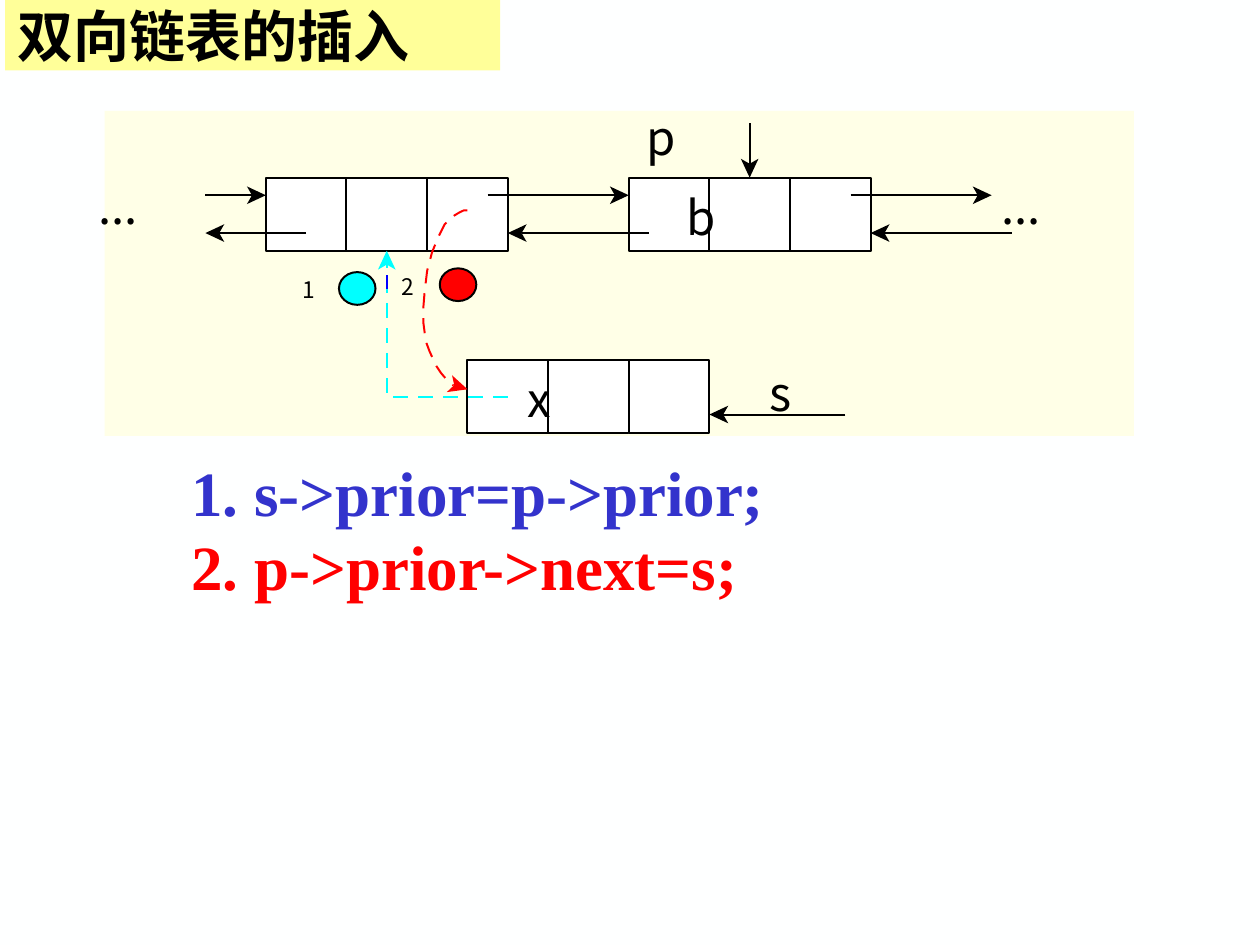
"""Build a slide on inserting a node into a doubly linked list."""
import dataclasses
import math

import lxml.etree
import pptx
import pptx.dml.color
import pptx.enum.dml
import pptx.enum.shapes
import pptx.enum.text
import pptx.oxml.ns
import pptx.util

Inches = pptx.util.Inches
Shape = pptx.enum.shapes.MSO_SHAPE


@dataclasses.dataclass(frozen=True)
class Theme:
    """Colours, fonts and sizes of the slide."""
    page: str = "FEFFFF"
    banner: str = "FFFF99"
    panel: str = "FFFFE7"
    white: str = "FFFFFF"
    ink: str = "000000"
    cyan: str = "00FFFF"
    blue: str = "0000FF"
    red: str = "FF0000"
    step: str = "3333CC"
    sans: str = "Noto Sans CJK SC"
    serif: str = "Times New Roman"
    title: int = 32
    code: int = 36
    label: int = 27
    small: int = 13
    line: float = 1.13


THEME = Theme()


def rgb(code):
    """Return a colour from its hex code."""
    return pptx.dml.color.RGBColor.from_string(code)


def add_node(parent, tag, **attrs):
    """Append a drawing element to a parent element."""
    return lxml.etree.SubElement(parent, pptx.oxml.ns.qn(tag), attrs)


def paint(shape, fill=None, line=None):
    """Set the fill and the outline of a shape."""
    shape.shadow.inherit = False
    if fill:
        shape.fill.solid()
        shape.fill.fore_color.rgb = rgb(fill)
    else:
        shape.fill.background()
    if line:
        shape.line.color.rgb = rgb(line)
        shape.line.width = pptx.util.Pt(THEME.line)
    else:
        shape.line.fill.background()


def place(shape, box):
    """Move a shape to left, top, width and height."""
    shape.left, shape.top, shape.width, shape.height = map(Inches, box)


def write(shape, text, size, color, face, bold=False, inset=True, middle=True):
    """Put one styled line of text in a shape."""
    frame = shape.text_frame
    frame.text = text
    frame.word_wrap = True
    frame.auto_size = pptx.enum.text.MSO_AUTO_SIZE.NONE
    anchor = pptx.enum.text.MSO_ANCHOR
    frame.vertical_anchor = anchor.MIDDLE if middle else anchor.TOP
    if not inset:
        frame.margin_left = frame.margin_right = 0
        frame.margin_top = frame.margin_bottom = 0
    para = frame.paragraphs[0]
    para.alignment = pptx.enum.text.PP_ALIGN.LEFT
    font = para.runs[0].font
    font.name, font.size, font.bold = face, pptx.util.Pt(size), bold
    font.color.rgb = rgb(color)
    add_node(para.runs[0]._r.get_or_add_rPr(), "a:ea", typeface=face)


def add_title(slide, text):
    """Fill the title banner."""
    title = slide.shapes.title
    place(title, (0.04, 0, 3.93, 0.56))
    title.fill.solid()
    title.fill.fore_color.rgb = rgb(THEME.banner)
    write(title, text, THEME.title, THEME.ink, THEME.sans, bold=True)


def add_box(slide, kind, box, fill, line=None):
    """Draw a preset shape."""
    shape = slide.shapes.add_shape(kind, *map(Inches, box))
    paint(shape, fill, line)


def add_cells(slide, left, top):
    """Draw a list node as three cells."""
    for i in range(3):
        box = (left + i * 0.64, top, 0.64, 0.58)
        add_box(slide, Shape.RECTANGLE, box, THEME.white, THEME.ink)


def add_label(slide, text, left, top, size=THEME.label):
    """Write a diagram label."""
    height = 0.45 if size == THEME.label else 0.22
    box = slide.shapes.add_textbox(*map(Inches, (left, top, 0.95, height)))
    write(box, text, size, THEME.ink, THEME.sans, inset=False)


def add_code(slide, text, top, color):
    """Write one code step."""
    box = slide.shapes.add_textbox(*map(Inches, (1.42, top, 4.75, 0.7)))
    write(box, text, THEME.code, color, THEME.serif, bold=True, middle=False)


def add_path(slide, points, closed, fill=None, line=None):
    """Draw an outline through points."""
    spots = [(Inches(x), Inches(y)) for x, y in points]
    pen = slide.shapes.build_freeform(*spots[0], scale=1.0)
    pen.add_line_segments(spots[1:], close=closed)
    shape = pen.convert_to_shape()
    paint(shape, fill, line)
    return shape


def add_dashes(slide, points, color):
    """Draw a dashed path."""
    shape = add_path(slide, points, False, line=color)
    shape.line.dash_style = pptx.enum.dml.MSO_LINE.DASH
    line = shape.line._ln
    preset = line.find(pptx.oxml.ns.qn("a:prstDash"))
    custom = add_node(line, "a:custDash")
    add_node(custom, "a:ds", d="760000", sp="500000")
    line.replace(preset, custom)


def add_line(slide, start, end, color):
    """Draw a straight line."""
    kind = pptx.enum.shapes.MSO_CONNECTOR.STRAIGHT
    line = slide.shapes.add_connector(kind, *map(Inches, (*start, *end)))
    line.line.color.rgb = rgb(color)
    line.line.width = pptx.util.Pt(THEME.line)
    add_node(line._element.spPr, "a:effectLst")


def add_head(slide, start, tip, color):
    """Draw a notched arrowhead and return its notch."""
    angle = math.atan2(tip[1] - start[1], tip[0] - start[0])
    cos, sin = math.cos(angle), math.sin(angle)
    wedge = [(0, 0), (0.15, 0.07), (0.11, 0), (0.15, -0.07)]
    points = [(tip[0] - b * cos - s * sin, tip[1] - b * sin + s * cos)
              for b, s in wedge]
    add_path(slide, points, True, fill=color)
    return points[2]


def add_arrow(slide, start, tip):
    """Draw a black arrow."""
    add_line(slide, start, add_head(slide, start, tip, THEME.ink), THEME.ink)


def main():
    """Build and save the slide."""
    deck = pptx.Presentation()
    deck.slide_width, deck.slide_height = Inches(10), Inches(7.5)
    slide = deck.slides.add_slide(deck.slide_layouts[5])
    slide.background.fill.solid()
    slide.background.fill.fore_color.rgb = rgb(THEME.page)
    add_title(slide, "双向链表的插入")
    add_code(slide, "1. s->prior=p->prior;", 3.55, THEME.step)
    add_code(slide, "2. p->prior->next=s;", 4.14, THEME.red)

    add_box(slide, Shape.RECTANGLE, (0.83, 0.88, 8.17, 2.58), THEME.panel)
    for left, top in [(2.11, 1.41), (4.99, 1.41), (3.71, 2.86)]:
        add_cells(slide, left, top)
    for tail, tip in [(1.63, 2.11), (3.87, 4.99), (6.75, 7.87)]:
        add_arrow(slide, (tail, 1.55), (tip, 1.55))
    for tail, tip in [(2.43, 1.63), (5.15, 4.03), (8.03, 6.91)]:
        add_arrow(slide, (tail, 1.85), (tip, 1.85))
    add_arrow(slide, (5.95, 0.98), (5.95, 1.41))
    add_arrow(slide, (6.71, 3.29), (5.63, 3.29))

    add_dashes(slide, [(4.03, 3.15), (3.07, 3.15), (3.07, 2.09)], THEME.cyan)
    add_line(slide, (3.07, 2.29), (3.07, 2.18), THEME.blue)
    add_head(slide, (3.07, 3.15), (3.07, 1.99), THEME.cyan)
    curve = [(3.71, 1.67), (3.68, 1.67), (3.64, 1.69), (3.59, 1.72),
             (3.53, 1.78), (3.48, 1.88), (3.43, 2), (3.39, 2.15),
             (3.37, 2.32), (3.36, 2.44), (3.36, 2.56), (3.38, 2.71),
             (3.41, 2.79), (3.46, 2.9), (3.5, 2.96), (3.56, 3.03),
             (3.6, 3.06)]
    add_dashes(slide, curve, THEME.red)
    add_head(slide, (3.55, 3.04), (3.71, 3.09), THEME.red)
    for left, top, fill in [(2.69, 2.16, THEME.cyan), (3.49, 2.13, THEME.red)]:
        add_box(slide, Shape.OVAL, (left, top, 0.29, 0.26), fill, THEME.ink)

    for text, left, top in [("b", 5.45, 1.49), ("x", 4.19, 2.94),
                            ("p", 5.13, 0.86), ("s", 6.11, 2.89),
                            ("...", 7.95, 1.41), ("...", 0.78, 1.41)]:
        add_label(slide, text, left, top)
    add_label(slide, "1", 2.4, 2.19, THEME.small)
    add_label(slide, "2", 3.19, 2.16, THEME.small)
    deck.save("out.pptx")


if __name__ == "__main__":
    main()
